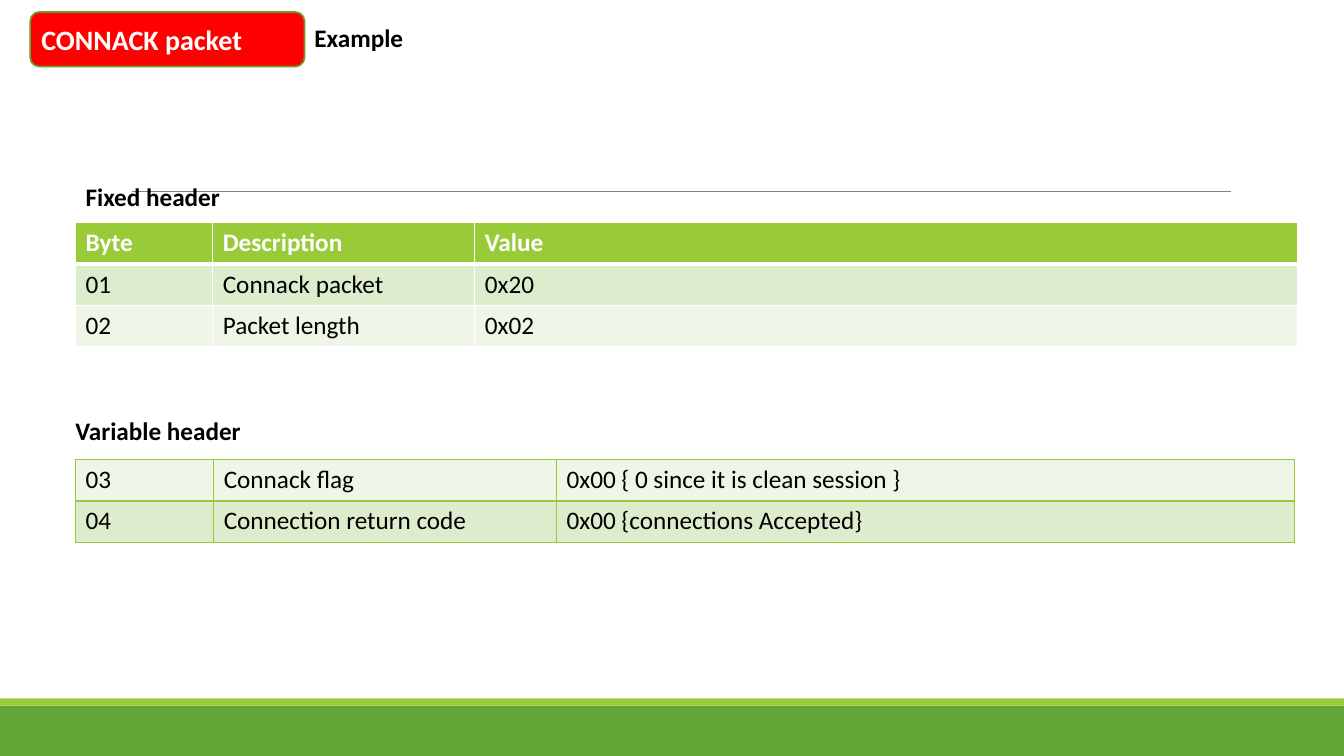
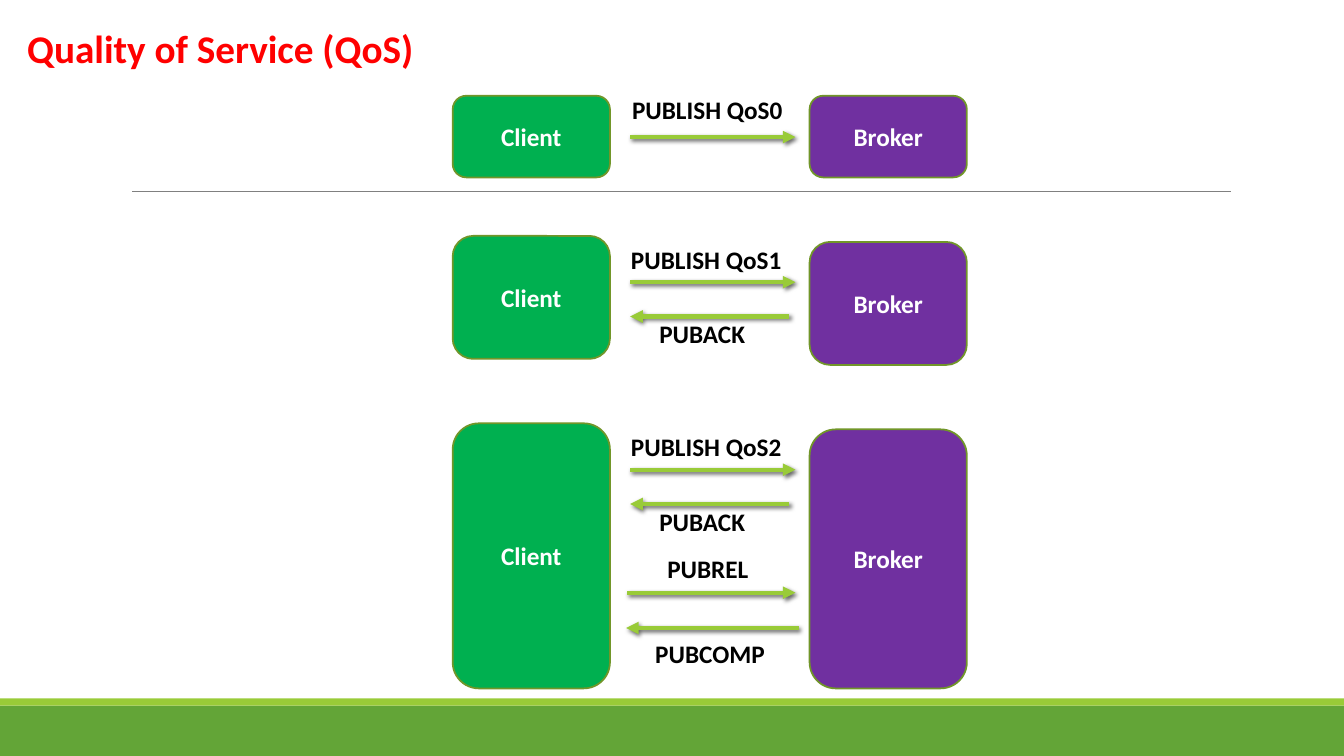
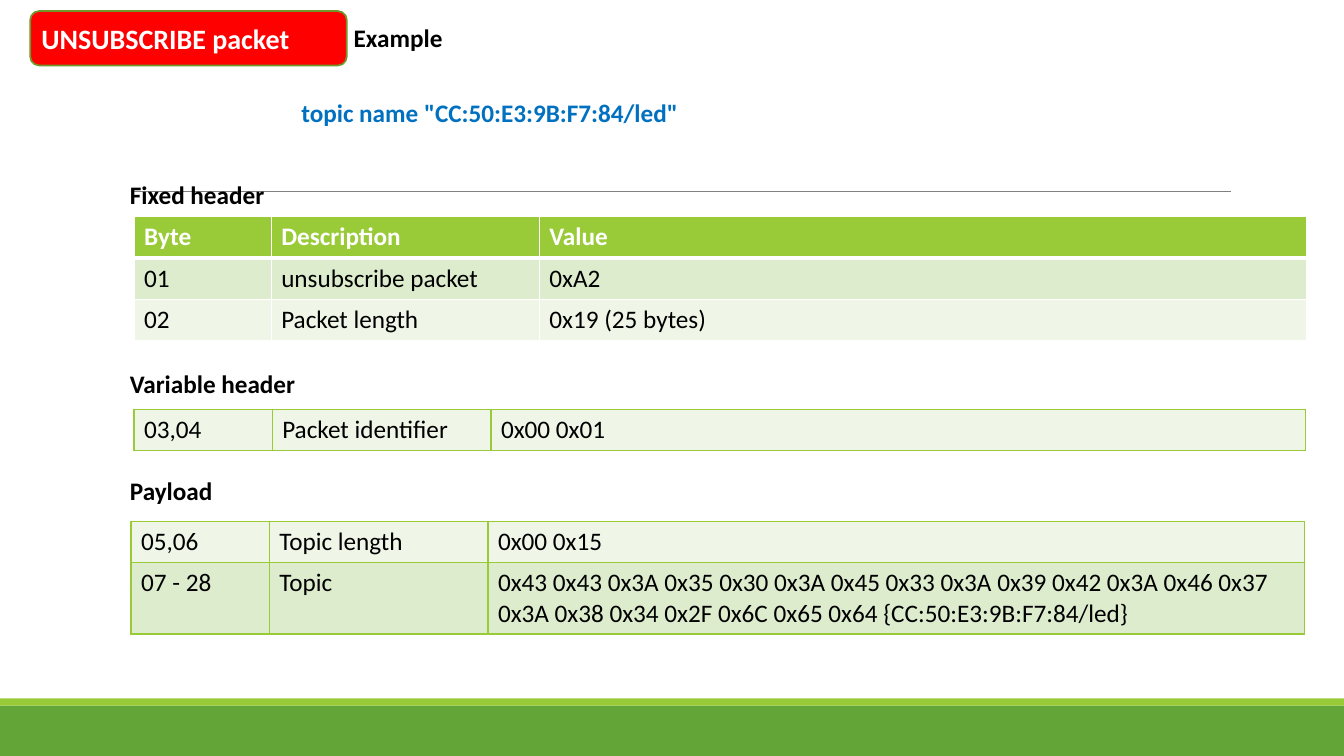
"""Build three slides on MQTT packets and quality of service."""
from lxml import etree
from pptx import Presentation
from pptx import util as u
from pptx.dml.color import RGBColor
from pptx.enum import shapes, text
from pptx.oxml.ns import qn

PX = 9144
FONT = "Calibri"
WIDTH, HEIGHT = 1333, 750
ROW_H = 41
COLORS = dict(green="63A537", lime="99CB38", olive="719629", gray="808080",
              red="FF0000", client="00B050", broker="7030A0", blue="0070C0",
              white="FFFFFF", black="000000", band="DEECCE", pale="EFF6E8")

HEADER = ("Byte", "Description", "Value")
CONNACK = dict(
    title="CONNACK packet", badge=(30, 12, 272, 54),
    labels=[("Example", 302, 17, 127, "black"),
            ("Fixed header", 75, 175, 181, "black"),
            ("Variable header", 65, 407, 220, "black")],
    tables=[(75, 221, (136, 260, 816), [
                HEADER,
                ("01", "Connack packet", "0x20"),
                ("02", "Packet length", "0x02")]),
            (75, 456, (137, 340, 732), [
                ("03", "Connack flag", "0x00 { 0 since it is clean session }"),
                ("04", "Connection return code", "0x00 {connections Accepted}")])])
UNSUBSCRIBE = dict(
    title="UNSUBSCRIBE packet", badge=(30, 11, 314, 54),
    labels=[("Example", 341, 17, 127, "black"),
            ('topic name "CC:50:E3:9B:F7:84/led"', 289, 92, 458, "blue"),
            ("Fixed header", 119, 173, 181, "black"),
            ("Variable header", 119, 361, 220, "black"),
            ("Payload", 119, 467, 121, "black")],
    tables=[(133, 215, (136, 266, 761), [
                HEADER,
                ("01", "unsubscribe packet", "0xA2"),
                ("02", "Packet length", "0x19 (25 bytes)")]),
            (133, 406, (137, 217, 808), [
                ("03,04", "Packet identifier", "0x00 0x01")]),
            (130, 517, (137, 217, 810), [
                ("05,06", "Topic length", "0x00 0x15"),
                ("07 - 28", "Topic",
                 "0x43 0x43 0x3A 0x35 0x30 0x3A 0x45 0x33 0x3A 0x39 0x42 0x3A "
                 "0x46 0x37 0x3A 0x38 0x34 0x2F 0x6C 0x65 0x64 "
                 "{CC:50:E3:9B:F7:84/led}")])])

QOS_TITLE = "Quality of Service (QoS)"
CLIENT_X, BROKER_X, NODE_W = 449, 803, 156
PUBACK = ("PUBACK", 644, 77, 119, 80, 783, 625)
QOS_LEVELS = [
    dict(top=95, client_h=81, broker_dy=0, broker_h=81, messages=[
        ("PUBLISH QoS0", 617, -6, 185, 41, 625, 789)]),
    dict(top=234, client_h=122, broker_dy=6, broker_h=122, messages=[
        ("PUBLISH QoS1", 616, 3, 185, 46, 625, 789), PUBACK]),
    dict(top=420, client_h=263, broker_dy=6, broker_h=257, messages=[
        ("PUBLISH QoS2", 616, 3, 185, 46, 625, 789), PUBACK,
        ("PUBREL", 652, 124, 104, 168, 622, 789),
        ("PUBCOMP", 640, 208, 143, 203, 792, 621)])]


def rgb(name):
    return RGBColor.from_string(COLORS[name])


def emu(*lengths):
    return [u.Emu(n * PX) for n in lengths]


def write(tf, words, size=18, color="black", bold=True, align=text.PP_ALIGN.LEFT,
          anchor=text.MSO_ANCHOR.TOP):
    tf.word_wrap = True
    tf.auto_size = text.MSO_AUTO_SIZE.NONE
    tf.vertical_anchor = anchor
    p = tf.paragraphs[0]
    p.alignment = align
    r = p.add_run()
    r.text = words
    f = r.font
    f.name, f.size, f.bold = FONT, u.Pt(size), bold
    f.color.rgb = rgb(color)


def add_label(s, words, x, y, w, color="black"):
    sp = s.shapes.add_textbox(*emu(x, y, w, 40))
    write(sp.text_frame, words, color=color)


def add_box(s, box, fill, line=None, kind=shapes.MSO_SHAPE.ROUNDED_RECTANGLE):
    sp = s.shapes.add_shape(kind, *emu(*box))
    sp.shadow.inherit = False
    sp.fill.solid()
    sp.fill.fore_color.rgb = rgb(fill)
    if line:
        sp.line.color.rgb = rgb(line)
        sp.line.width = u.Pt(1.25)
    else:
        sp.line.fill.background()
    return sp


def add_line(s, x1, y1, x2, y2, color, width):
    cx = s.shapes.add_connector(shapes.MSO_CONNECTOR.STRAIGHT, *emu(x1, y1, x2, y2))
    cx.line.color.rgb = rgb(color)
    cx.line.width = u.Pt(width)
    effects = etree.SubElement(cx.element.spPr, qn("a:effectLst"))
    return cx, effects


def add_arrow(s, x1, x2, y):
    cx, effects = add_line(s, x1, y, x2, y, "lime", 3)
    etree.SubElement(cx.element.spPr.find(qn("a:ln")), qn("a:tailEnd"), type="triangle")
    shadow = etree.SubElement(effects, qn("a:outerShdw"), blurRad=str(u.Pt(3)),
                              dist=str(u.Pt(2)), dir="2700000", rotWithShape="0")
    tint = etree.SubElement(shadow, qn("a:srgbClr"), val=COLORS["black"])
    etree.SubElement(tint, qn("a:alpha"), val="60000")


def set_title(s, words, box, size, color):
    title = s.shapes.title
    title.left, title.top, title.width, title.height = emu(*box)
    write(title.text_frame, words, size=size, color=color)
    s.shapes.element.append(title.element)


def set_border(cell, color, **widths):
    tc_pr = cell._tc.get_or_add_tcPr()
    for side in "LRTB":
        ln = etree.SubElement(tc_pr, qn("a:ln" + side), w=str(u.Pt(widths.get(side, 1))))
        fill = etree.SubElement(ln, qn("a:solidFill"))
        etree.SubElement(fill, qn("a:srgbClr"), val=COLORS[color])


def add_table(s, x, y, cols, rows):
    has_header = rows[0] == HEADER
    table = s.shapes.add_table(len(rows), len(cols),
                               *emu(x, y, sum(cols), ROW_H * len(rows))).table
    table.first_row, table.horz_banding = has_header, False
    for column, w in zip(table.columns, cols):
        column.width = u.Emu(w * PX)
    for i, row in enumerate(rows):
        is_header = has_header and i == 0
        fill = "lime" if is_header else ("pale", "band")[i % 2]
        for j, words in enumerate(row):
            cell = table.cell(i, j)
            set_border(cell, "white" if has_header else "lime",
                       B=3 if is_header else 1, T=3 if has_header and i == 1 else 1)
            cell.fill.solid()
            cell.fill.fore_color.rgb = rgb(fill)
            p = cell.text_frame.paragraphs[0]
            r = p.add_run()
            r.text = words
            f = r.font
            f.name, f.size, f.bold = FONT, u.Pt(18), is_header
            f.color.rgb = rgb("white" if is_header else "black")


def decorate_layout(layout, s):
    rect = shapes.MSO_SHAPE.RECTANGLE
    parts = [add_box(s, (0, 700, WIDTH, 50), "green", kind=rect),
             add_box(s, (0, 693, WIDTH, 7), "lime", kind=rect),
             add_line(s, 131, 190, 1221, 190, "gray", 0.5)[0]]
    for i, part in enumerate(parts):
        layout.shapes.element.insert(2 + i, part.element)


def packet_slide(s, packet):
    x, y, w, h = packet["badge"]
    add_box(s, packet["badge"], "red", "olive")
    set_title(s, packet["title"], (x + 1, y + 5, w, 44), 20, "white")
    for label in packet["labels"]:
        add_label(s, *label)
    for table in packet["tables"]:
        add_table(s, *table)


def qos_slide(s):
    set_title(s, QOS_TITLE, (17, 19, 473, 57), 28, "red")
    for level in QOS_LEVELS:
        top = level["top"]
        for name, x, y, h, fill in (
                ("Client", CLIENT_X, top, level["client_h"], "client"),
                ("Broker", BROKER_X, top + level["broker_dy"], level["broker_h"], "broker")):
            sp = add_box(s, (x, y, NODE_W, h), fill, "olive")
            write(sp.text_frame, name, color="white", align=text.PP_ALIGN.CENTER,
                  anchor=text.MSO_ANCHOR.MIDDLE)
        for words, x, dy, w, arrow_dy, start, end in level["messages"]:
            add_arrow(s, start, end, top + arrow_dy)
            add_label(s, words, x, top + dy, w)


def main():
    prs = Presentation()
    prs.slide_width, prs.slide_height = emu(WIDTH, HEIGHT)
    layout = prs.slide_layouts[5]
    connack, qos, unsubscribe = [prs.slides.add_slide(layout) for _ in range(3)]
    decorate_layout(layout, connack)
    packet_slide(connack, CONNACK)
    qos_slide(qos)
    packet_slide(unsubscribe, UNSUBSCRIBE)
    prs.save("out.pptx")


if __name__ == "__main__":
    main()
